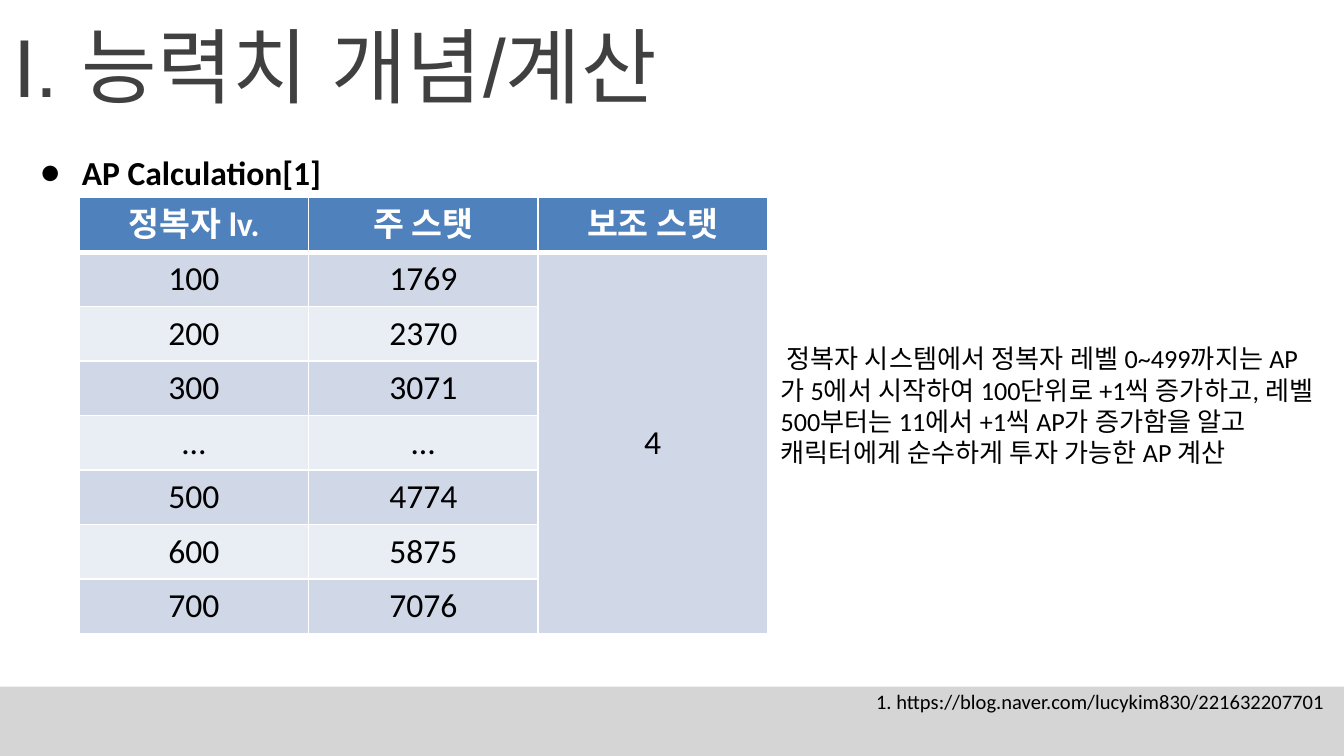
from dataclasses import dataclass

from lxml.etree import SubElement
from pptx import Presentation
from pptx.dml.color import RGBColor
from pptx.enum.shapes import MSO_SHAPE
from pptx.enum.text import MSO_ANCHOR, MSO_AUTO_SIZE, PP_ALIGN
from pptx.oxml.ns import qn
from pptx.slide import Slide
from pptx.table import _Cell
from pptx.text.text import _Paragraph
from pptx.util import Inches, Pt

COLORS = {
    "title": "404040",
    "text": "000000",
    "white": "FFFFFF",
    "header": "4F81BD",
    "odd_row": "D0D8E8",
    "even_row": "E9EDF4",
    "footer": "D5D5D5",
}
FORMATS = {
    "title": {"name": "Arial", "size": Pt(44)},
    "heading": {"name": "Calibri", "size": Pt(18), "bold": True},
    "cell": {"name": "Calibri", "size": Pt(18), "bold": False},
    "body": {"name": "Calibri", "size": Pt(14)},
    "reference": {"name": "Calibri", "size": Pt(11)},
}
TABLE_ROWS = [
    ("정복자 lv.", "주 스탯", "보조 스탯"),
    ("100", "1769", "4"),
    ("200", "2370", ""),
    ("300", "3071", ""),
    ("…", "…", ""),
    ("500", "4774", ""),
    ("600", "5875", ""),
    ("700", "7076", ""),
]
SLIDE_WIDTH = 10
SLIDE_HEIGHT = SLIDE_WIDTH * 9 / 16
FOOTER_TOP = 5.11
TABLE_WIDTH = 5.12
TABLE_HEIGHT = 3.24


@dataclass(frozen=True)
class TextBlock:
    text: str
    left: float
    top: float
    width: float
    height: float
    style: str
    color: str = "text"
    anchor: MSO_ANCHOR = MSO_ANCHOR.TOP
    bullet: str = ""


TEXT_BLOCKS = [
    TextBlock("I. 능력치 개념/계산", 0, 0, 10, 0.97, "title", "title", MSO_ANCHOR.MIDDLE),
    TextBlock("AP Calculation[1]", 0.2, 1.08, 2.52, 0.4, "heading", bullet="●"),
    TextBlock(
        " 정복자 시스템에서 정복자 레벨 0~499까지는 AP가 5에서 시작하여 "
        "100단위로 +1씩 증가하고, 레벨 500부터는 11에서 +1씩 AP가 증가함을 알고 "
        "캐릭터에게 순수하게 투자 가능한 AP 계산",
        5.71, 2.5, 4.17, 1.04, "body",
    ),
    TextBlock(
        "1. https://blog.naver.com/lucykim830/221632207701",
        6.42, 5.08, 3.58, 0.29, "reference",
    ),
]


def rgb(color: str) -> RGBColor:
    return RGBColor.from_string(COLORS[color])


def write_text(paragraph: _Paragraph, text: str, style: str, color: str) -> None:
    run = paragraph.add_run()
    run.text = text
    for attribute, value in FORMATS[style].items():
        setattr(run.font, attribute, value)
    run.font.color.rgb = rgb(color)
    properties = run._r.get_or_add_rPr()
    SubElement(properties, qn("a:ea"), typeface=FORMATS[style]["name"])


def add_bullet(paragraph: _Paragraph, character: str, typeface: str) -> None:
    properties = paragraph._p.get_or_add_pPr()
    properties.set("marL", str(Inches(0.31)))
    properties.set("indent", str(Inches(-0.31)))
    SubElement(properties, qn("a:buFont"), typeface=typeface)
    SubElement(properties, qn("a:buChar"), char=character)


def add_text(slide: Slide, block: TextBlock) -> None:
    shape = slide.shapes.add_textbox(
        Inches(block.left), Inches(block.top), Inches(block.width), Inches(block.height)
    )
    frame = shape.text_frame
    frame.word_wrap = True
    frame.auto_size = MSO_AUTO_SIZE.NONE
    frame.vertical_anchor = block.anchor
    paragraph = frame.paragraphs[0]
    if block.bullet:
        add_bullet(paragraph, block.bullet, FORMATS[block.style]["name"])
    write_text(paragraph, block.text, block.style, block.color)


def add_footer(slide: Slide) -> None:
    shape = slide.shapes.add_shape(
        MSO_SHAPE.RECTANGLE,
        Inches(0), Inches(FOOTER_TOP),
        Inches(SLIDE_WIDTH), Inches(SLIDE_HEIGHT - FOOTER_TOP),
    )
    shape.shadow.inherit = False
    shape.fill.solid()
    shape.fill.fore_color.rgb = rgb("footer")
    shape.line.fill.background()


def add_borders(cell: _Cell, row: int) -> None:
    widths = {"L": 1, "R": 1, "T": 3 if row == 1 else 1, "B": 3 if row == 0 else 1}
    properties = cell._tc.get_or_add_tcPr()
    for side, width in widths.items():
        line = SubElement(properties, qn(f"a:ln{side}"), w=str(Pt(width)))
        fill = SubElement(line, qn("a:solidFill"))
        SubElement(fill, qn("a:srgbClr"), val=COLORS["white"])


def fill_cell(cell: _Cell, text: str, row: int) -> None:
    is_header = row == 0
    add_borders(cell, row)
    cell.fill.solid()
    row_color = "odd_row" if row % 2 else "even_row"
    cell.fill.fore_color.rgb = rgb("header" if is_header else row_color)
    paragraph = cell.text_frame.paragraphs[0]
    paragraph.alignment = PP_ALIGN.CENTER
    if text:
        style, color = ("heading", "white") if is_header else ("cell", "text")
        write_text(paragraph, text, style, color)


def add_stat_table(slide: Slide) -> None:
    row_count, column_count = len(TABLE_ROWS), len(TABLE_ROWS[0])
    table = slide.shapes.add_table(
        row_count, column_count, Inches(0.59), Inches(1.47),
        Inches(TABLE_WIDTH), Inches(TABLE_HEIGHT),
    ).table
    for column in table.columns:
        column.width = Inches(TABLE_WIDTH / column_count)
    for row in table.rows:
        row.height = Inches(TABLE_HEIGHT / row_count)
    for row_index, texts in enumerate(TABLE_ROWS):
        for column_index, text in enumerate(texts):
            fill_cell(table.cell(row_index, column_index), text, row_index)
    secondary_stat = table.cell(1, column_count - 1)
    secondary_stat.merge(table.cell(row_count - 1, column_count - 1))
    secondary_stat.vertical_anchor = MSO_ANCHOR.MIDDLE


def main() -> None:
    presentation = Presentation()
    presentation.slide_width = Inches(SLIDE_WIDTH)
    presentation.slide_height = Inches(SLIDE_HEIGHT)
    slide = presentation.slides.add_slide(presentation.slide_layouts[6])
    add_footer(slide)
    add_stat_table(slide)
    for block in TEXT_BLOCKS:
        add_text(slide, block)
    presentation.save("out.pptx")


if __name__ == "__main__":
    main()
